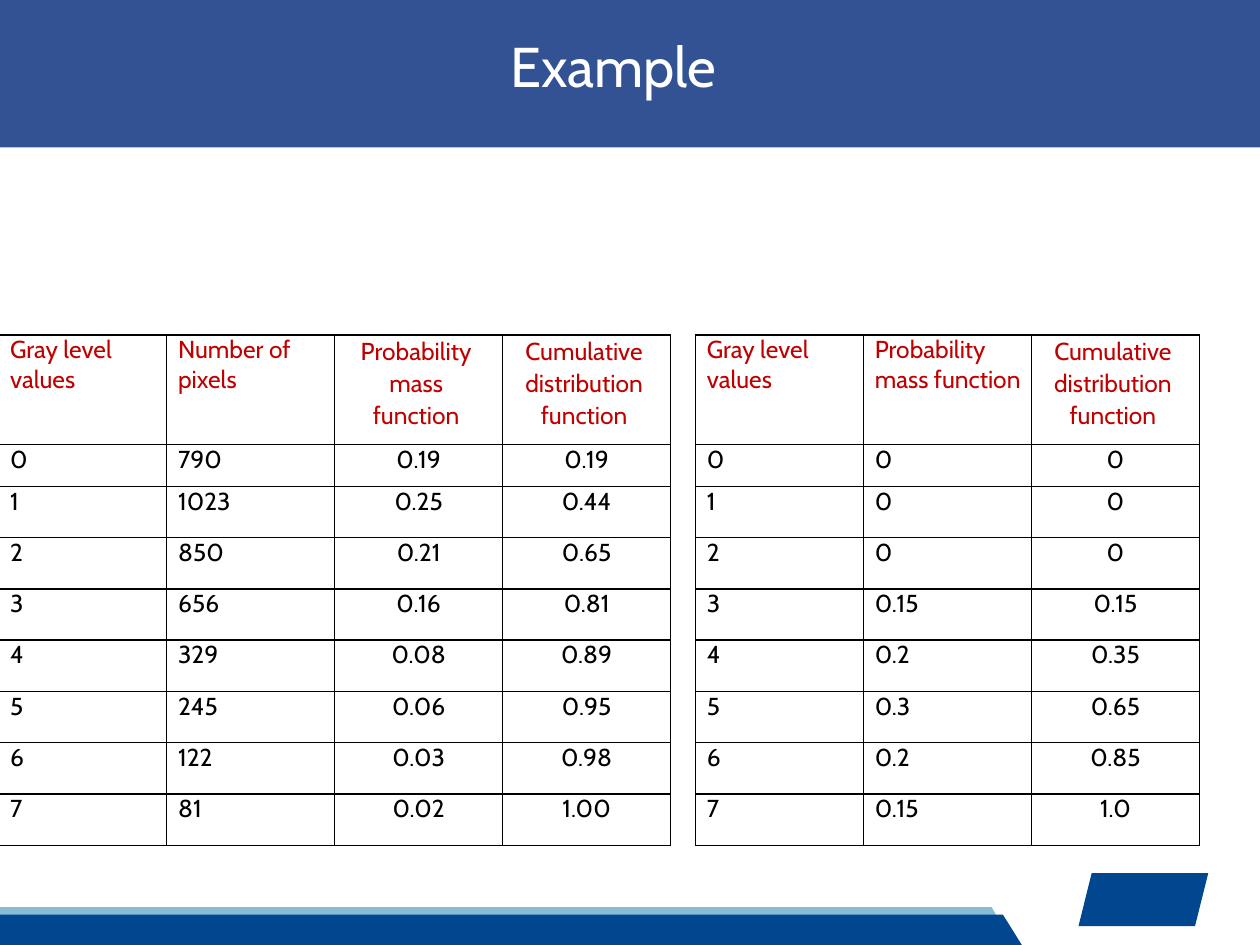
"""Build a slide comparing the histograms of two gray-level distributions."""
from lxml.etree import SubElement
from pptx import Presentation
from pptx.dml.color import RGBColor
from pptx.enum.shapes import MSO_SHAPE
from pptx.enum.text import MSO_ANCHOR, MSO_AUTO_SIZE, PP_ALIGN
from pptx.oxml.ns import qn
from pptx.util import Inches, Pt

HEADER_BLUE = RGBColor(0x33, 0x52, 0x94)
PALE_BLUE = RGBColor(0x86, 0xBC, 0xD5)
NAVY = RGBColor(0x00, 0x47, 0x90)
WHITE = RGBColor(0xFF, 0xFF, 0xFF)
RED = RGBColor(0xC0, 0x00, 0x00)
BLACK = RGBColor(0x00, 0x00, 0x00)

COLUMN = Inches(4) // 3
TABLE_TOP = Inches(2.66)
HEADING_ROW, FIRST_ROW = Inches(0.87), Inches(0.33)
VALUE_ROW = (Inches(4.05) - HEADING_ROW - FIRST_ROW) // 7
ROWS = [HEADING_ROW, FIRST_ROW] + [VALUE_ROW] * 7
NO_INSETS = {"margin_left": 0, "margin_right": 0, "margin_top": 0, "margin_bottom": 0}

GRAY, PIXELS = "Gray level values", "Number of pixels"
MASS, CUMULATIVE = "Probability mass function", "Cumulative distribution function"
HISTOGRAMS = [
    (-0.01, 2, [
        (GRAY, PIXELS, MASS, CUMULATIVE),
        ("0", "790", "0.19", "0.19"),
        ("1", "1023", "0.25", "0.44"),
        ("2", "850", "0.21", "0.65"),
        ("3", "656", "0.16", "0.81"),
        ("4", "329", "0.08", "0.89"),
        ("5", "245", "0.06", "0.95"),
        ("6", "122", "0.03", "0.98"),
        ("7", "81", "0.02", "1.00"),
    ]),
    (5.52, 2, [
        (GRAY, MASS, CUMULATIVE),
        ("0", "0", "0"),
        ("1", "0", "0"),
        ("2", "0", "0"),
        ("3", "0.15", "0.15"),
        ("4", "0.2", "0.35"),
        ("5", "0.3", "0.65"),
        ("6", "0.2", "0.85"),
        ("7", "0.15", "1.0"),
    ]),
]
HEADING_INDENTS = {MASS: (0.13, 0.17), CUMULATIVE: (0.09, 0.13)}


def paint(shape, color):
    shape.shadow.inherit = False
    shape.fill.solid()
    shape.fill.fore_color.rgb = color
    shape.line.fill.background()


def write(paragraph, text, size, color, left=0, right=0):
    properties = paragraph._p.get_or_add_pPr()
    properties.set("marL", str(Inches(left)))
    properties.set("marR", str(Inches(right)))
    properties.set("indent", "0")
    run = paragraph.add_run()
    run.text = text
    for name, value in {"name": "Cabin", "size": Pt(size), "bold": False}.items():
        setattr(run.font, name, value)
    run.font.color.rgb = color


deck = Presentation()
deck.slide_width, deck.slide_height = Inches(10), Inches(7.5)
slide = deck.slides.add_slide(deck.slide_layouts[5])
shapes = slide.shapes

header = shapes.add_shape(MSO_SHAPE.RECTANGLE, 0, 0, deck.slide_width, Inches(1.17))
paint(header, HEADER_BLUE)

for top, bottom, top_right, bottom_right, color in [
    (7.2, 7.46, 7.87, 8.02, PALE_BLUE),
    (7.26, 7.5, 7.96, 8.11, NAVY),
]:
    outline = shapes.build_freeform(Inches(top_right), Inches(top))
    corners = [(0, top), (0, bottom), (bottom_right, bottom)]
    outline.add_line_segments([(Inches(x), Inches(y)) for x, y in corners], close=True)
    paint(outline.convert_to_shape(), color)

emblem = shapes.add_shape(
    MSO_SHAPE.PARALLELOGRAM, Inches(8.56), Inches(6.93), Inches(1.03), Inches(0.42))
paint(emblem, NAVY)

title = shapes.title
for name, value in {"left": 0.9, "top": 0.25, "width": 8.21, "height": 0.59}.items():
    setattr(title, name, Inches(value))
title_format = {
    **NO_INSETS,
    "word_wrap": True,
    "vertical_anchor": MSO_ANCHOR.TOP,
    "auto_size": MSO_AUTO_SIZE.SHAPE_TO_FIT_TEXT,
}
for name, value in title_format.items():
    setattr(title.text_frame, name, value)
heading = title.text_frame.paragraphs[0]
heading.alignment = PP_ALIGN.LEFT
write(heading, "Example", 32, WHITE, left=3.15)
title.element.getparent().append(title.element)

for left, centred_count, records in HISTOGRAMS:
    column_count = len(records[0])
    first_centred = 2
    table = shapes.add_table(
        len(ROWS), column_count, Inches(left), TABLE_TOP,
        COLUMN * column_count, sum(ROWS)).table
    table.first_row = table.horz_banding = False
    for column in table.columns:
        column.width = COLUMN
    for row, height in zip(table.rows, ROWS):
        row.height = height
    for r, record in enumerate(records):
        for c, text in enumerate(record):
            cell = table.cell(r, c)
            for name, value in NO_INSETS.items():
                setattr(cell, name, value)
            cell_properties = cell._tc.get_or_add_tcPr()
            for side in ("a:lnL", "a:lnR", "a:lnT", "a:lnB"):
                border = SubElement(cell_properties, qn(side), w=str(Pt(1)))
                fill = SubElement(border, qn("a:solidFill"))
                SubElement(fill, qn("a:srgbClr"), val=str(BLACK))
            cell.fill.background()
            paragraph = cell.text_frame.paragraphs[0]
            centred = c >= first_centred
            paragraph.alignment = PP_ALIGN.CENTER if centred else PP_ALIGN.LEFT
            indents = (0, 0) if centred else (0.09, 0)
            if centred and r == 0:
                paragraph.line_spacing = 1.07
                indents = HEADING_INDENTS[text]
            write(paragraph, text, 14, BLACK if r else RED, *indents)

deck.save("out.pptx")
